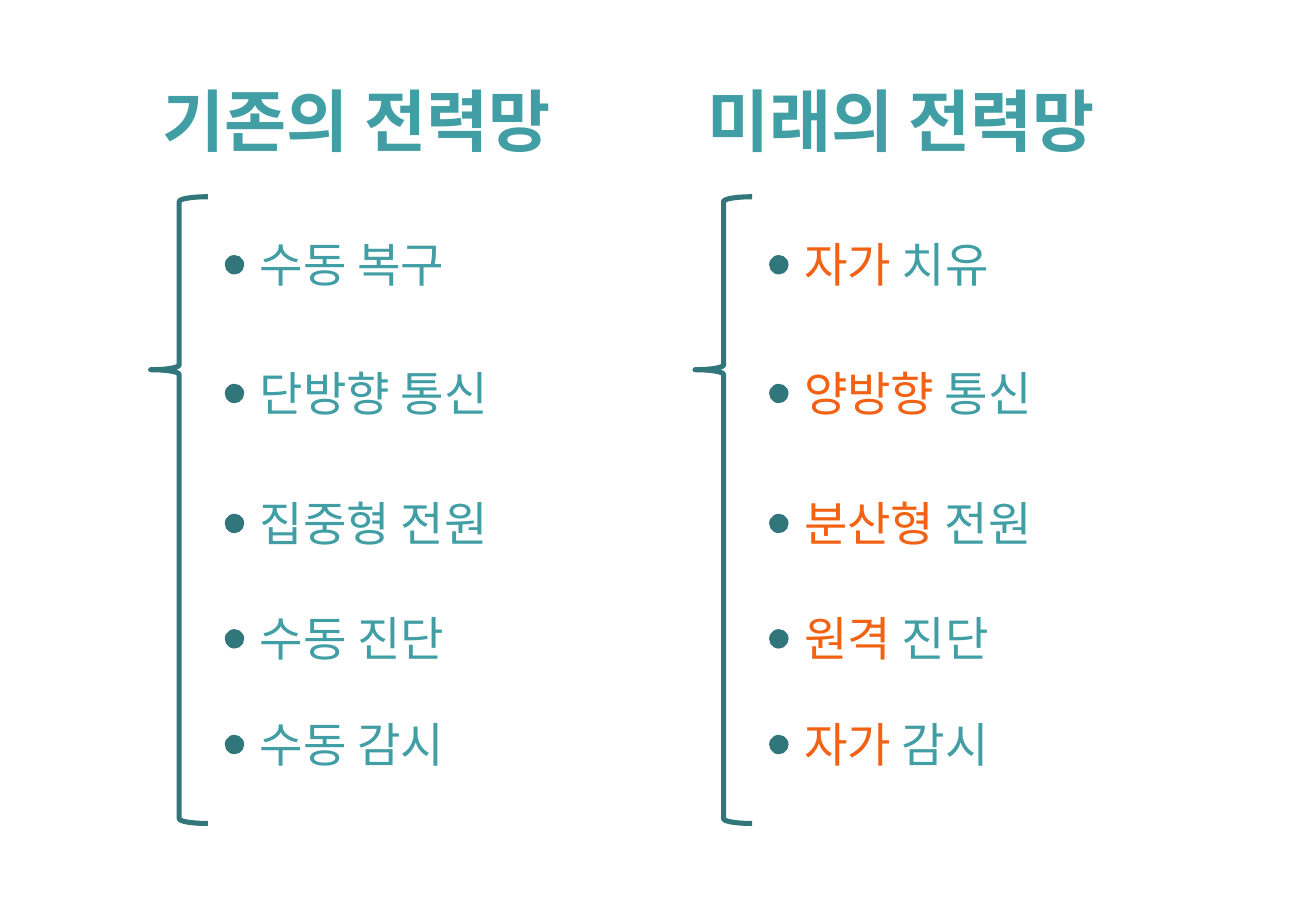
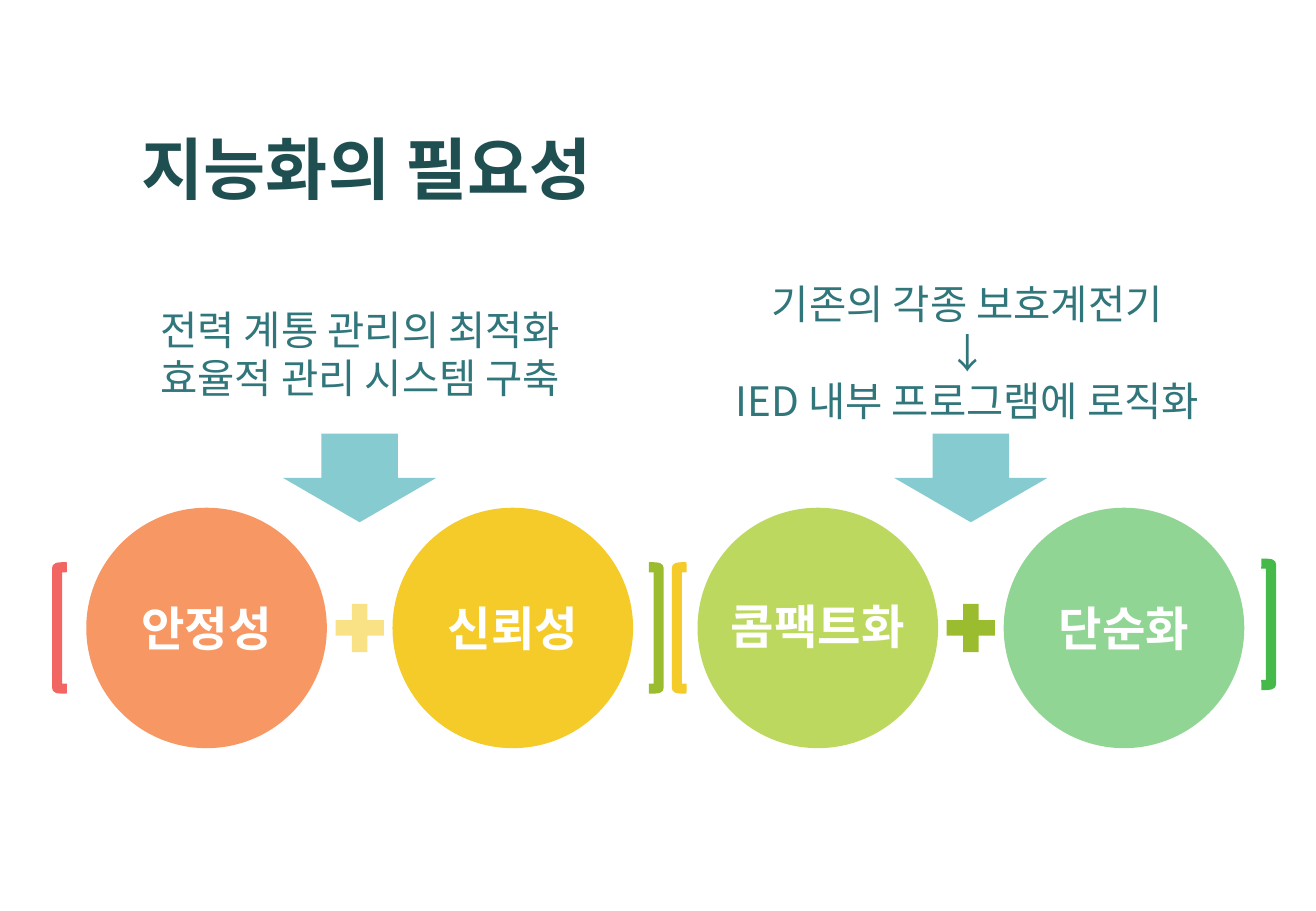
"""Build two slides on the intelligent power grid."""
from lxml import etree
from pptx import Presentation
from pptx.dml.color import RGBColor
from pptx.enum import shapes, text
from pptx.oxml import ns
from pptx.util import Inches, Pt

FONT = "Noto Sans CJK KR"
WHITE = RGBColor(0xFF, 0xFF, 0xFF)
TEAL = RGBColor(0x40, 0x9E, 0xA4)
DEEP_TEAL = RGBColor(0x30, 0x76, 0x7B)
DARK_TEAL = RGBColor(0x20, 0x4F, 0x52)
PALE_TEAL = RGBColor(0x85, 0xCB, 0xD0)
ORANGE = RGBColor(0xF3, 0x61, 0x12)
PEACH = RGBColor(0xF7, 0x98, 0x64)
RED = RGBColor(0xF1, 0x66, 0x63)
YELLOW = RGBColor(0xF5, 0xCB, 0x2A)
PALE_YELLOW = RGBColor(0xF9, 0xE1, 0x85)
LIME = RGBColor(0xBC, 0xD8, 0x5F)
OLIVE = RGBColor(0x9B, 0xBC, 0x2E)
MINT = RGBColor(0x90, 0xD5, 0x93)
GREEN = RGBColor(0x46, 0xB9, 0x4B)

SHAPE = shapes.MSO_SHAPE
TITLE = {"size": Pt(40), "bold": True}
ITEM = {"size": Pt(28), "bold": False}
NOTE = {"size": Pt(24), "bold": False}
LABEL = {"size": Pt(28), "bold": True}
LEFT, CENTER = text.PP_ALIGN.LEFT, text.PP_ALIGN.CENTER

ROW_TOPS = (1.89, 2.95, 4.02, 4.97, 5.84)
OLD_GRID = (("수동 복구",), ("단방향 통신",), ("집중형 전원",),
            ("수동 진단",), ("수동 감시",))
NEW_GRID = (("자가", " 치유"), ("양방향", " 통신"), ("분산형", " 전원"),
            ("원격", " 진단"), ("자가", " 감시"))


def inches(area):
    """Turn left, top, width and height into lengths."""
    return [Inches(value) for value in area]


def write(box, lines, style, align=LEFT, grow=True):
    """Fill a box with lines, each a list of (words, colour) pairs."""
    frame = box.text_frame
    settings = {
        "word_wrap": False,
        "auto_size": text.MSO_AUTO_SIZE.SHAPE_TO_FIT_TEXT if grow else text.MSO_AUTO_SIZE.NONE,
        "vertical_anchor": text.MSO_ANCHOR.TOP if grow else text.MSO_ANCHOR.MIDDLE,
    }
    for name, value in settings.items():
        setattr(frame, name, value)
    for index, line in enumerate(lines):
        para = frame.add_paragraph() if index else frame.paragraphs[0]
        para.alignment = align
        for words, colour in line:
            span = para.add_run()
            span.text = words
            for name, value in {"name": FONT, **style}.items():
                setattr(span.font, name, value)
            span.font.color.rgb = colour
            east_asian = etree.SubElement(span.font._element, ns.qn("a:ea"))
            east_asian.set("typeface", FONT)


def add_text(parent, area, lines, style, align=LEFT):
    """Add a text box."""
    write(parent.shapes.add_textbox(*inches(area)), lines, style, align)


def add_filled(parent, kind, area, colour):
    """Add a filled shape without outline."""
    shape = parent.shapes.add_shape(kind, *inches(area))
    shape.shadow.inherit = False
    shape.fill.solid()
    shape.fill.fore_color.rgb = colour
    shape.line.fill.background()
    return shape


def add_outline(parent, kind, area, colour, width):
    """Add an unfilled brace or bracket."""
    shape = parent.shapes.add_shape(kind, *inches(area))
    shape.shadow.inherit = False
    shape.fill.background()
    shape.line.color.rgb = colour
    shape.line.width = Pt(width)
    return shape


def add_grid_column(page, left, title, items):
    """Add a titled list held by a brace."""
    group = page.shapes.add_group_shape()
    add_text(group, (left, 0.6, 3.69, 0.77), [[(title, TEAL)]], TITLE)
    brace = add_outline(group, SHAPE.LEFT_BRACE, (left, 1.62, 0.47, 5.16), DEEP_TEAL, 3)
    brace.adjustments[0], brace.adjustments[1] = 0.083, 0.276
    for top, item in zip(ROW_TOPS, items):
        colours = (ORANGE, TEAL) if len(item) > 1 else (TEAL,)
        width = 2.3 if len("".join(item)) > 5 else 1.9
        add_filled(group, SHAPE.OVAL, (left + 0.61, top + 0.21, 0.16, 0.16), DEEP_TEAL)
        add_text(group, (left + 0.8, top, width, 0.57), [list(zip(item, colours))], ITEM)


def add_circle(group, left, colour, label=None):
    """Add a circle with an optional label."""
    circle = add_filled(group, SHAPE.OVAL, (left, 4.18, 1.98, 1.98), colour)
    if label:
        write(circle, [[(label, WHITE)]], LABEL, CENTER, grow=False)


def add_pair(page, left, circles, plus_colour, brackets):
    """Add two circles joined by a plus between brackets, under an arrow."""
    add_filled(page, SHAPE.DOWN_ARROW, (left + 1.62, 3.57, 1.26, 0.73), PALE_TEAL)
    group = page.shapes.add_group_shape()
    for index, (colour, label) in enumerate(circles):
        add_circle(group, left + index * 2.52, colour, label)
    add_filled(group, SHAPE.MATH_PLUS, (left + 1.98, 4.9, 0.54, 0.54), plus_colour)
    for kind, x, y, colour in brackets:
        add_outline(group, kind, (x, y, 0.08, 1), colour, 6)
    return group


def build_comparison(page):
    """Compare the present and the future grid."""
    add_grid_column(page, 5.72, "미래의 전력망", NEW_GRID)
    add_grid_column(page, 1.24, "기존의 전력망", OLD_GRID)


def build_need(page):
    """Show why the grid must become intelligent."""
    add_text(page, (1.07, 1, 4.25, 0.77), [[("지능화의 필요성", DARK_TEAL)]], TITLE)
    add_pair(page, 0.71, ((PEACH, "안정성"), (YELLOW, "신뢰성")), PALE_YELLOW,
             ((SHAPE.LEFT_BRACKET, 0.47, 4.67, RED),
              (SHAPE.RIGHT_BRACKET, 5.34, 4.67, OLIVE)))
    compact = add_pair(page, 5.74, ((LIME, None), (MINT, "단순화")), OLIVE,
                       ((SHAPE.LEFT_BRACKET, 5.57, 4.67, YELLOW),
                        (SHAPE.RIGHT_BRACKET, 10.38, 4.64, GREEN)))
    plate = add_filled(compact, SHAPE.RECTANGLE, (5.91, 4.87, 1.64, 0.53), LIME)
    write(plate, [[("콤팩트화", WHITE)]], LABEL, CENTER)
    notes = (
        ((1, 2.46, 3.93, 0.91), ("전력 계통 관리의 최적화", "효율적 관리 시스템 구축")),
        ((5.69, 2.25, 4.54, 1.31),
         ("기존의 각종 보호계전기", "↓", "IED 내부 프로그램에 로직화")),
    )
    for area, lines in notes:
        add_text(page, area, [[(line, DEEP_TEAL)] for line in lines], NOTE, CENTER)


def main():
    """Build and save the deck."""
    deck = Presentation()
    deck.slide_width, deck.slide_height = Inches(10.83), Inches(7.5)
    for build in (build_comparison, build_need):
        page = deck.slides.add_slide(deck.slide_layouts[6])
        page.background.fill.solid()
        page.background.fill.fore_color.rgb = WHITE
        build(page)
    deck.save("out.pptx")


if __name__ == "__main__":
    main()
